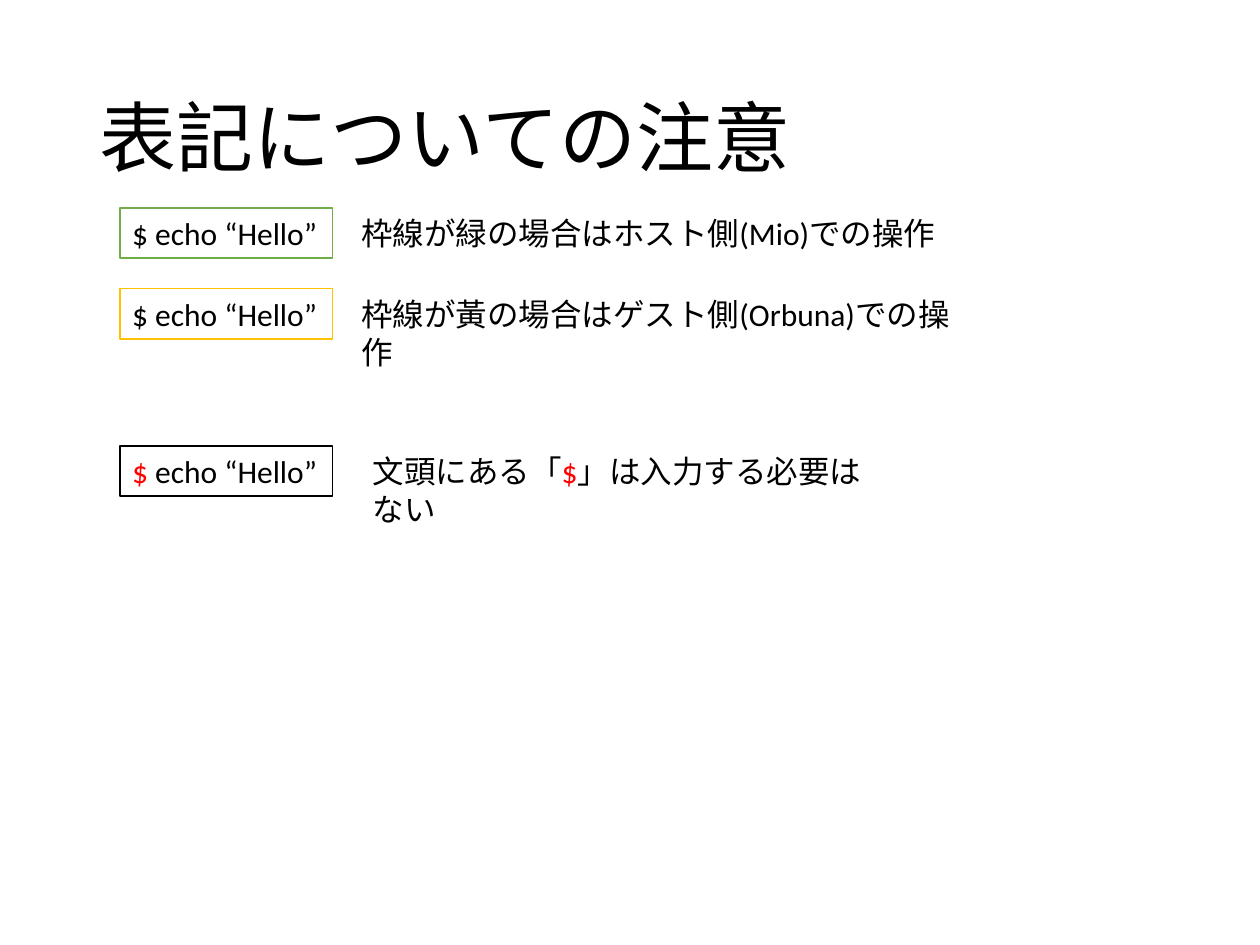
import pptx
import pptx.dml.color
import pptx.enum.shapes
import pptx.enum.text
import pptx.util

Inches = pptx.util.Inches

COLORS = {
    "text": "000000",
    "paper": "FFFFFF",
    "host": "70AD47",
    "guest": "FFC000",
    "prompt": "FF0000",
}


class NotationSlide:
    """Holds the style and the current slide, and adds its elements."""

    font_name = "Calibri"
    body_size = 18
    title_size = 44
    row_height = 0.4

    def __init__(self, presentation):
        self.slide = presentation.slides.add_slide(presentation.slide_layouts[5])

    def color(self, name):
        return pptx.dml.color.RGBColor.from_string(COLORS[name])

    def add_runs(self, shape, runs, size):
        paragraph = shape.text_frame.paragraphs[0]
        paragraph.alignment = pptx.enum.text.PP_ALIGN.LEFT
        for text, color_name in runs:
            run = paragraph.add_run()
            run.text = text
            run.font.name = self.font_name
            run.font.size = pptx.util.Pt(size)
            run.font.color.rgb = self.color(color_name)
        return paragraph

    def add_body_line(self, shape, runs):
        frame = shape.text_frame
        frame.word_wrap = False
        frame.auto_size = pptx.enum.text.MSO_AUTO_SIZE.SHAPE_TO_FIT_TEXT
        frame.vertical_anchor = pptx.enum.text.MSO_ANCHOR.TOP
        self.add_runs(shape, runs, self.body_size)

    def add_title(self, text):
        title = self.slide.shapes.title
        title.left, title.top = Inches(0.69), Inches(0.4)
        title.width, title.height = Inches(8.62), Inches(1.45)
        title.text_frame.vertical_anchor = pptx.enum.text.MSO_ANCHOR.MIDDLE
        title.text_frame.auto_size = pptx.enum.text.MSO_AUTO_SIZE.NONE
        self.add_runs(title, [(text, "text")], self.title_size).line_spacing = 0.9

    def add_command(self, top, border, prompt_color):
        box = self.slide.shapes.add_shape(
            pptx.enum.shapes.MSO_SHAPE.RECTANGLE,
            Inches(0.95), Inches(top), Inches(1.69), Inches(self.row_height),
        )
        box.shadow.inherit = False
        box.fill.solid()
        box.fill.fore_color.rgb = self.color("paper")
        box.line.color.rgb = self.color(border)
        box.line.width = pptx.util.Pt(1)
        self.add_body_line(box, [("$", prompt_color), (" echo “Hello”", "text")])

    def add_explanation(self, left, top, width, runs):
        box = self.slide.shapes.add_textbox(
            Inches(left), Inches(top), Inches(width), Inches(self.row_height)
        )
        self.add_body_line(box, runs)


def main():
    presentation = pptx.Presentation()
    presentation.slide_width = Inches(10)
    presentation.slide_height = Inches(7.5)

    notation = NotationSlide(presentation)
    notation.add_title("表記についての注意")
    rows = [
        (1.65, "host", "text", 2.77, 4.85,
         [("枠線が緑の場合はホスト側(Mio)での操作", "text")]),
        (2.29, "guest", "text", 2.77, 5.02,
         [("枠線が黃の場合はゲスト側(Orbuna)での操作", "text")]),
        (3.54, "text", "prompt", 2.86, 4.28,
         [("文頭にある「", "text"), ("$", "prompt"),
          ("」は入力する必要はない", "text")]),
    ]
    for top, border, prompt_color, left, width, runs in rows:
        notation.add_command(top, border, prompt_color)
        notation.add_explanation(left, top, width, runs)

    presentation.save("out.pptx")


if __name__ == "__main__":
    main()
